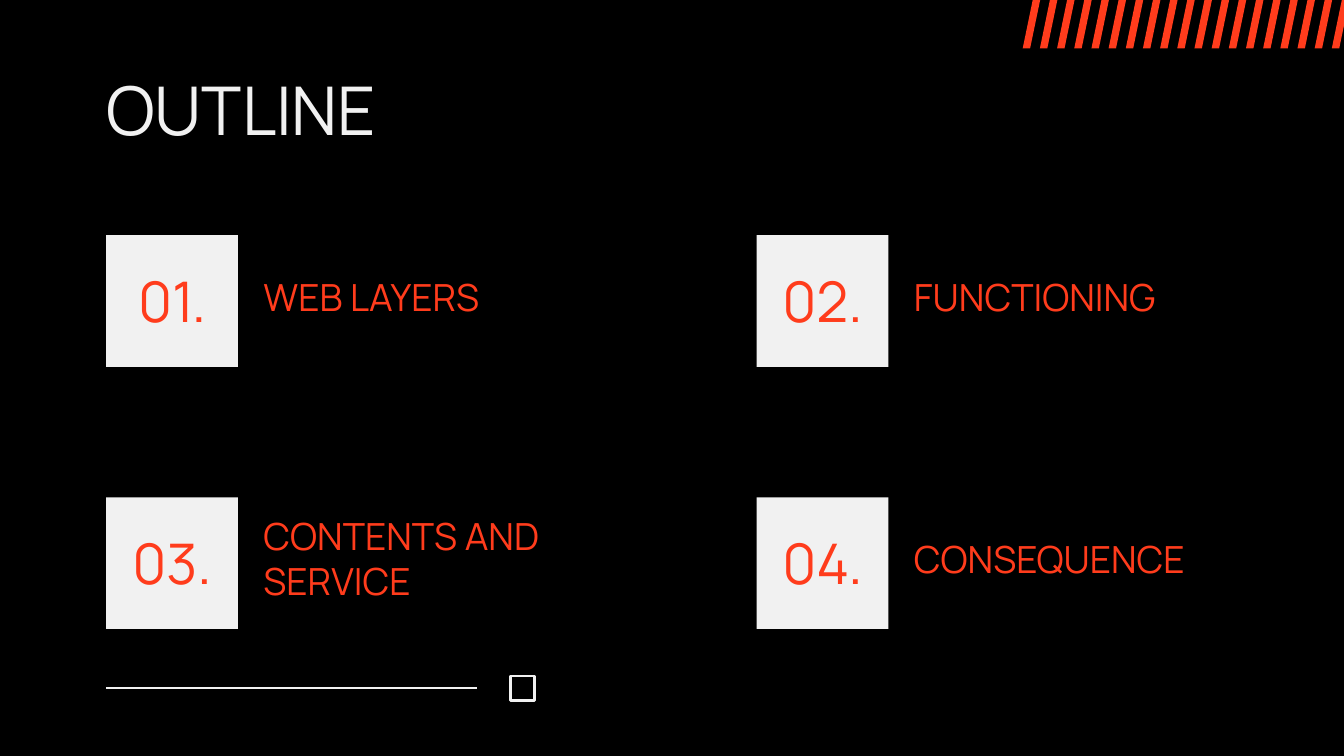
from pptx import Presentation
from pptx.dml.color import RGBColor as Rgb
from pptx.enum.shapes import MSO_CONNECTOR as Conn, MSO_SHAPE as Kind
from pptx.enum.text import MSO_ANCHOR as Anchor, PP_ALIGN as Align
from pptx.util import Inches, Pt
from lxml.etree import SubElement
from pptx.oxml.ns import qn

# Content
TITLE = "OUTLINE"
ITEMS = ["WEB LAYERS", "FUNCTIONING", "CONTENTS AND SERVICE", "CONSEQUENCE"]

# Style and grid
HUES = {"back": "000000", "pale": "F1F1F1", "red": "FF3C1C"}
FONT = "Manrope"
LEFT, TOP = 0.79, 1.75
STEP_X, STEP_Y = 4.84, 1.95
SIDE = 0.98
STRIPES, FIRST, LAST = 19, 7.61, 9.91


def hue(name):
    return Rgb.from_string(HUES[name])


def place(box, x, y, w, h):
    box.left, box.top, box.width, box.height = map(Inches, (x, y, w, h))


def write(box, text, size=20, color="red", align=Align.LEFT):
    frame = box.text_frame
    frame.word_wrap = True
    frame.vertical_anchor = Anchor.MIDDLE
    frame.margin_left = frame.margin_right = 0
    frame.margin_top = frame.margin_bottom = 0
    para = frame.paragraphs[0]
    para.alignment = align
    run = para.add_run()
    run.text = text
    run.font.name = FONT
    run.font.size = Pt(size)
    run.font.color.rgb = hue(color)


def draw(kind, x, y, w, h, fill=None, line=None):
    shape = slide.shapes.add_shape(kind, *map(Inches, (x, y, w, h)))
    shape.shadow.inherit = False
    if fill:
        shape.fill.solid()
        shape.fill.fore_color.rgb = hue(fill)
    else:
        shape.fill.background()
    if line:
        shape.line.color.rgb = hue(line)
        shape.line.width = Pt(1.5)
    else:
        shape.line.fill.background()
    return shape


def label(text, x, y, w, h, **style):
    box = slide.shapes.add_textbox(*map(Inches, (x, y, w, h)))
    write(box, text, **style)


# Widescreen slide, 16 to 9
deck = Presentation()
deck.slide_width = Inches(10)
deck.slide_height = deck.slide_width * 9 // 16
slide = deck.slides.add_slide(deck.slide_layouts[5])
slide.background.fill.solid()
slide.background.fill.fore_color.rgb = hue("back")

# Striped corner
for i in range(STRIPES):
    x = FIRST + i * (LAST - FIRST) / (STRIPES - 1)
    bar = draw(Kind.PARALLELOGRAM, x, 0, 0.13, 0.36, fill="red")
    bar.adjustments[0] = 0.575

# Footer rule and square
rule = slide.shapes.add_connector(
    Conn.STRAIGHT, *map(Inches, (LEFT, 5.12, 3.55, 5.12)))
rule.line.color.rgb = hue("pale")
rule.line.width = Pt(1.5)
SubElement(rule.element.spPr, qn("a:effectLst"))
draw(Kind.RECTANGLE, 3.8, 5.03, 0.18, 0.18, line="pale")

# Title
head = slide.shapes.title
place(head, LEFT, 0.49, 8.43, 0.63)
write(head, TITLE, size=36, color="pale")

# Numbered sections, two to a row
for i, item in enumerate(ITEMS):
    row, col = divmod(i, 2)
    x, y = LEFT + col * STEP_X, TOP + row * STEP_Y
    draw(Kind.RECTANGLE, x, y, SIDE, SIDE, fill="pale")
    label(f"{i + 1:02}.", x, y + 0.23, SIDE, 0.51, size=30, align=Align.CENTER)
    label(item, x + 1.17, y + 0.2, 2.42, 0.51)

deck.save("out.pptx")
